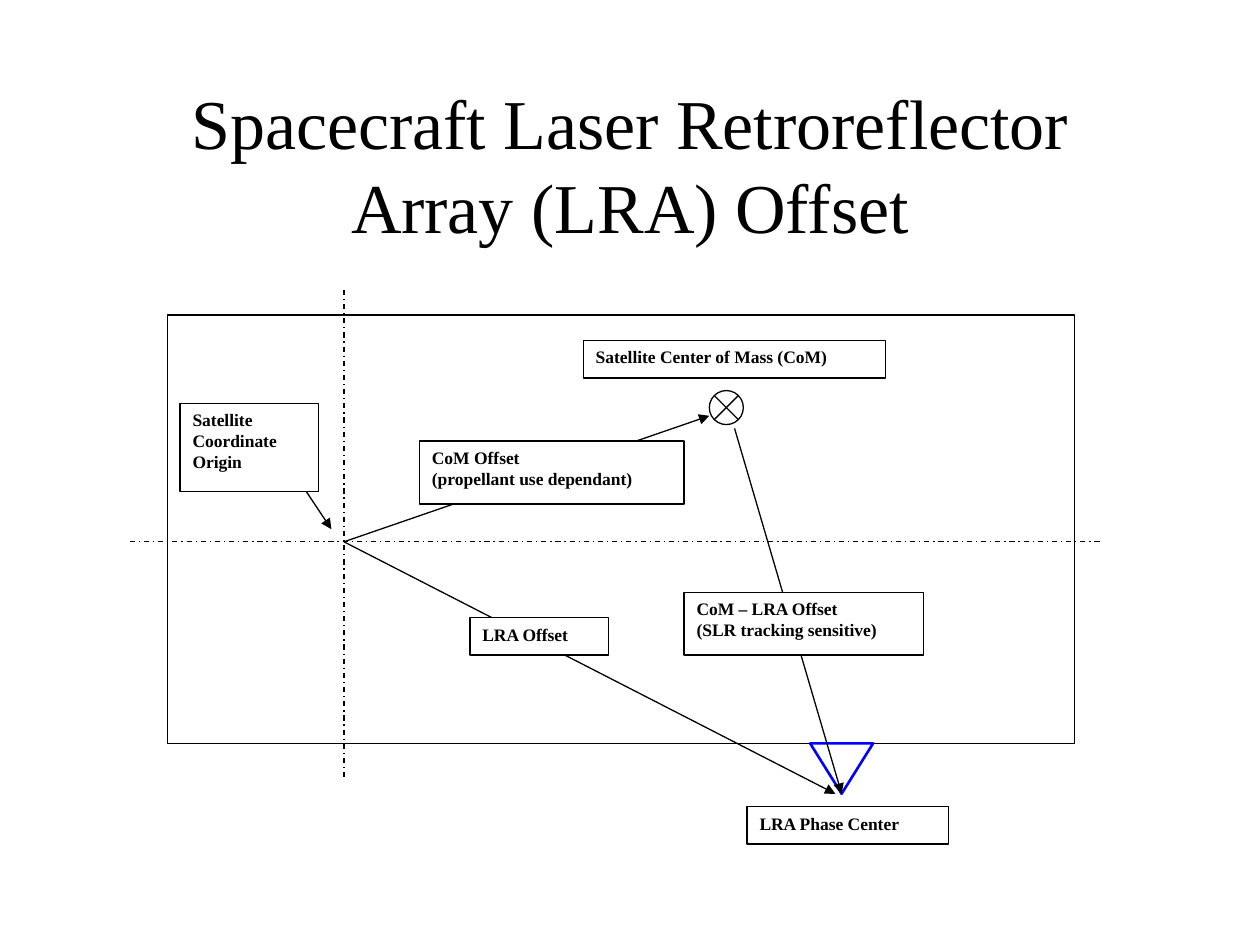
from lxml import etree
from pptx import Presentation
from pptx.dml.color import RGBColor
from pptx.enum.dml import MSO_LINE
from pptx.enum.shapes import MSO_CONNECTOR, MSO_SHAPE
from pptx.enum.text import MSO_ANCHOR, PP_ALIGN
from pptx.oxml.ns import qn
from pptx.util import Inches, Pt

BLACK = RGBColor(0, 0, 0)
WHITE = RGBColor(255, 255, 255)
BLUE = RGBColor(0, 0, 255)
DASH_DOT = MSO_LINE.DASH_DOT
STRAIGHT = MSO_CONNECTOR.STRAIGHT
RECT = MSO_SHAPE.RECTANGLE
JUNCTION = MSO_SHAPE.FLOWCHART_SUMMING_JUNCTION
MERGE = MSO_SHAPE.FLOWCHART_MERGE
TOP, MIDDLE = MSO_ANCHOR.TOP, MSO_ANCHOR.MIDDLE
LEFT, CENTER = PP_ALIGN.LEFT, PP_ALIGN.CENTER

TITLE_FONT = {"name": "Times New Roman", "size": Pt(40), "bold": False}
LABEL_FONT = {"name": "Times New Roman", "size": Pt(10), "bold": True}


def write_text(tf, lines, font, align, anchor):
    """Fill a text frame with one paragraph per line."""
    tf.word_wrap = True
    tf.vertical_anchor = anchor
    for i, line in enumerate(lines):
        p = tf.paragraphs[0] if i == 0 else tf.add_paragraph()
        p.alignment = align
        r = p.add_run()
        r.text = line
        for name, value in font.items():
            setattr(r.font, name, value)
        r.font.color.rgb = BLACK


def add_title(s, box, text):
    """Place and format the title placeholder in the box."""
    title = s.shapes.title
    title.left, title.top, title.width, title.height = map(Inches, box)
    write_text(title.text_frame, [text], TITLE_FONT, CENTER, MIDDLE)


def add_outline(s, kind, box, color=BLACK, width=0.75):
    """Add a white preset shape with a thin outline."""
    sp = s.shapes.add_shape(kind, *map(Inches, box))
    sp.shadow.inherit = False
    sp.fill.solid()
    sp.fill.fore_color.rgb = WHITE
    sp.line.color.rgb = color
    sp.line.width = Pt(width)
    return sp


def add_line(s, start, end, arrow=True):
    """Add an arrow, or a dash-dot axis when arrow is False."""
    line = s.shapes.add_connector(STRAIGHT, *map(Inches, (*start, *end)))
    line.line.color.rgb = BLACK
    line.line.width = Pt(0.75)
    if arrow:
        ln = line.line._get_or_add_ln()
        etree.SubElement(ln, qn("a:tailEnd"), type="triangle")
    else:
        line.line.dash_style = DASH_DOT
    etree.SubElement(line._element.spPr, qn("a:effectLst"))


def add_label(s, box, *lines):
    """Add a boxed label with bold lines."""
    sp = add_outline(s, RECT, box)
    write_text(sp.text_frame, lines, LABEL_FONT, LEFT, TOP)


def add_diagram(s, box):
    """Draw the satellite, its axes, offset vectors and labels in the box."""
    x, y, w, h = box
    origin = (x + 1.7, y + 2)
    phase_center = (x + 5.6, y + 4)
    add_outline(s, RECT, (x + 0.3, y + 0.2, w - 0.5, h - 1))
    add_outline(s, JUNCTION, (x + 4.6, y + 0.8, 0.27, 0.27))
    add_line(s, (origin[0], y), (origin[0], y + h - 0.5), arrow=False)
    add_line(s, (x, origin[1]), (x + w, origin[1]), arrow=False)
    add_outline(s, MERGE, (x + 5.4, y + 3.6, 0.5, 0.4), BLUE, 1.5)
    add_line(s, origin, (x + 4.6, y + 1))
    add_line(s, origin, phase_center)
    add_label(s, (x + 3.6, y + 0.4, 2.4, 0.3), "Satellite Center of Mass (CoM)")
    add_label(s, (x + 4.9, y + 4.1, 1.6, 0.3), "LRA Phase Center")
    add_label(s, (x + 0.4, y + 0.9, 1.1, 0.7), "Satellite", "Coordinate", "Origin")
    add_line(s, (x + 1.4, y + 1.6), (x + 1.6, y + 1.9))
    add_label(s, (x + 2.3, y + 1.2, 2.1, 0.5), "CoM Offset", "(propellant use dependant)")
    add_label(s, (x + 2.7, y + 2.6, 1.1, 0.3), "LRA Offset")
    add_line(s, (x + 4.8, y + 1.1), (phase_center[0] + 0.05, phase_center[1]))
    add_label(s, (x + 4.4, y + 2.4, 1.9, 0.5), "CoM – LRA Offset", "(SLR tracking sensitive)")


def main():
    """Build and save the slide."""
    prs = Presentation()
    prs.slide_width, prs.slide_height = Inches(10), Inches(7.5)
    s = prs.slides.add_slide(prs.slide_layouts[5])
    add_title(s, (0.75, 0.67, 8.5, 1.25), "Spacecraft Laser Retroreflector Array (LRA) Offset")
    add_diagram(s, (1.03, 2.3, 7.7, 4.4))
    prs.save("out.pptx")


if __name__ == "__main__":
    main()
